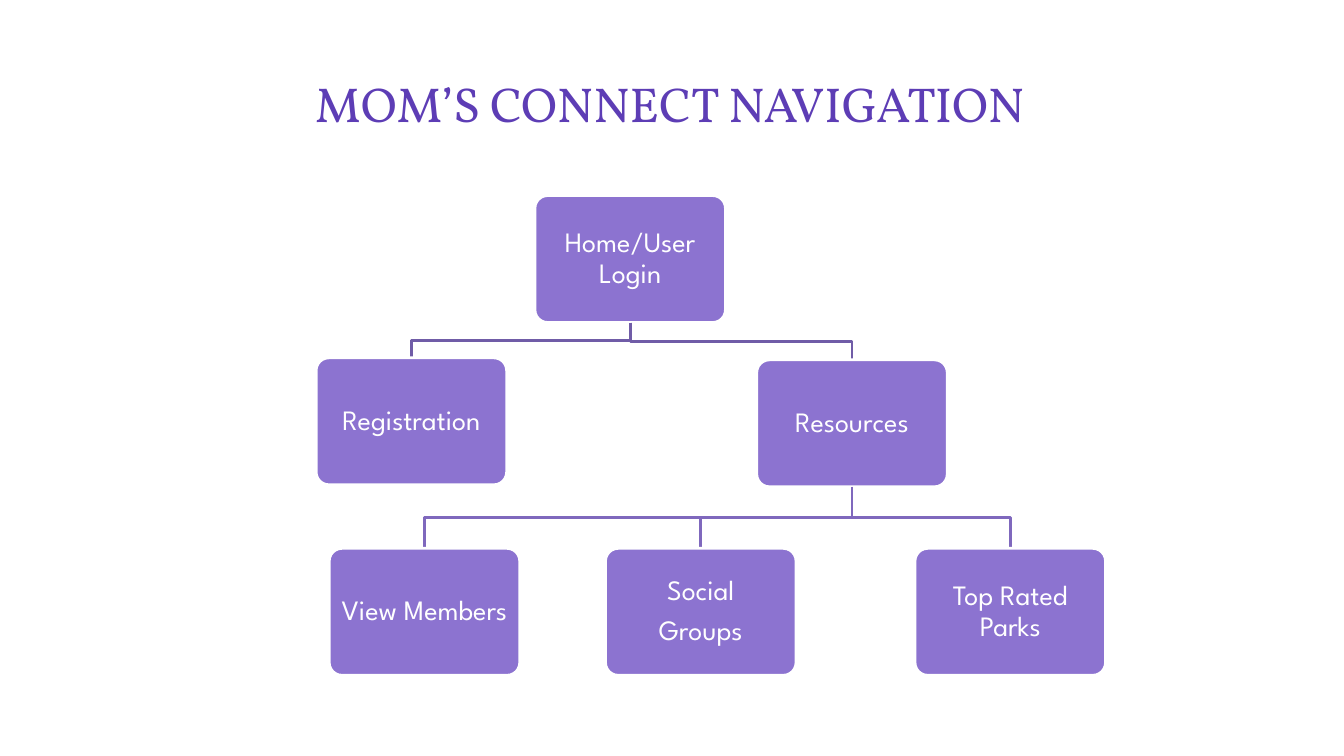
from pptx import Presentation
from pptx.dml.color import RGBColor
from pptx.enum.shapes import MSO_SHAPE
from pptx.enum.text import MSO_ANCHOR, PP_ALIGN
from pptx.util import Inches, Pt

ROUNDED = MSO_SHAPE.ROUNDED_RECTANGLE
MIDDLE = MSO_ANCHOR.MIDDLE
CENTER = PP_ALIGN.CENTER

WHITE = RGBColor(0xFF, 0xFF, 0xFF)
TITLE_PURPLE = RGBColor(0x5D, 0x3D, 0xB5)
PAGE_PURPLE = RGBColor(0x8C, 0x73, 0xD0)
UPPER_LINK = RGBColor(0x70, 0x5C, 0xA7)
LOWER_LINK = RGBColor(0x7F, 0x68, 0xBD)

PAGE_W, PAGE_H = 1.89, 1.26

# page: (centre x, top, parent page, colour of the link from the parent)
PAGES = {
    "Home/User Login": (6.25, 1.94, None, None),
    "Registration": (4.08, 3.55, "Home/User Login", UPPER_LINK),
    "Resources": (8.45, 3.57, "Home/User Login", UPPER_LINK),
    "View Members": (4.21, 5.44, "Resources", LOWER_LINK),
    "Social\nGroups": (6.95, 5.44, "Resources", LOWER_LINK),
    "Top Rated Parks": (10.02, 5.44, "Resources", LOWER_LINK),
}

prs = Presentation()
prs.slide_width, prs.slide_height = Inches(13.33), Inches(7.5)
slide = prs.slides.add_slide(prs.slide_layouts[5])

title = slide.shapes.title
title.left, title.top = Inches(0.62), Inches(0.45)
title.width, title.height = Inches(12.05), Inches(1.14)
title.text_frame.text = "MOM’S CONNECT NAVIGATION"
title.text_frame.vertical_anchor = MIDDLE
heading = title.text_frame.paragraphs[0]
heading.alignment = CENTER
heading.font.name = "Vollkorn"
heading.font.size = Pt(35)
heading.font.color.rgb = TITLE_PURPLE

for label, (center_x, top, parent, link_color) in PAGES.items():
    if parent:
        parent_x, parent_top = PAGES[parent][:2]
        start_y = parent_top + PAGE_H
        bend_y = (start_y + top) / 2
        route = slide.shapes.build_freeform(Inches(parent_x), Inches(start_y))
        route.add_line_segments(
            [(Inches(x), Inches(y)) for x, y in
             ((parent_x, bend_y), (center_x, bend_y), (center_x, top))],
            close=False)
        link = route.convert_to_shape()
        link.shadow.inherit = False
        link.fill.background()
        link.line.color.rgb = link_color
        link.line.width = Pt(2)

    page = slide.shapes.add_shape(ROUNDED, Inches(center_x - PAGE_W / 2), Inches(top),
                                  Inches(PAGE_W), Inches(PAGE_H))
    page.adjustments[0] = 0.1
    page.shadow.inherit = False
    page.fill.solid()
    page.fill.fore_color.rgb = PAGE_PURPLE
    page.line.color.rgb = WHITE
    page.line.width = Pt(2)

    frame = page.text_frame
    frame.word_wrap = True
    frame.vertical_anchor = MIDDLE
    frame.margin_left = frame.margin_right = Inches(0.07)
    frame.margin_top = frame.margin_bottom = Inches(0.08)
    frame.text = label
    for paragraph in frame.paragraphs:
        paragraph.alignment = CENTER
        paragraph.line_spacing = 0.9
        paragraph.space_after = Pt(7)
        paragraph.font.name = "League Spartan"
        paragraph.font.size = Pt(20)
        paragraph.font.color.rgb = WHITE

prs.save("out.pptx")
